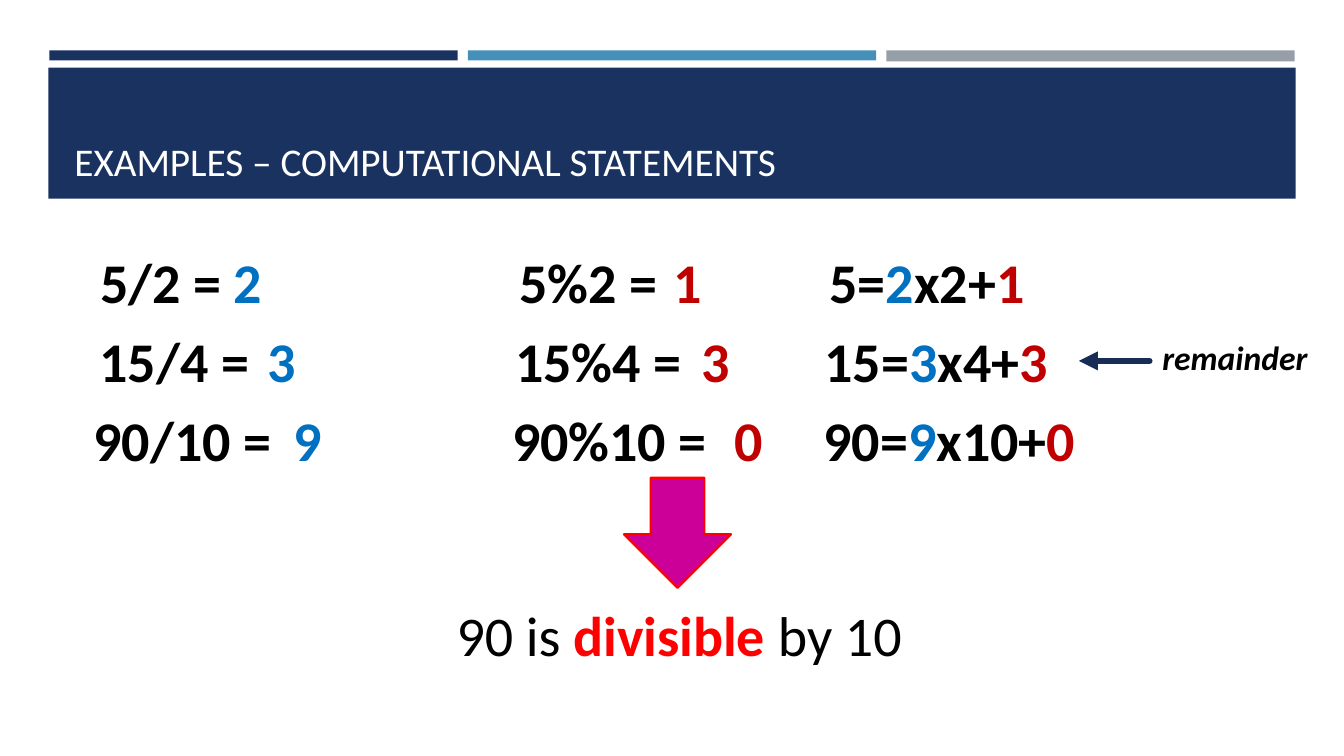
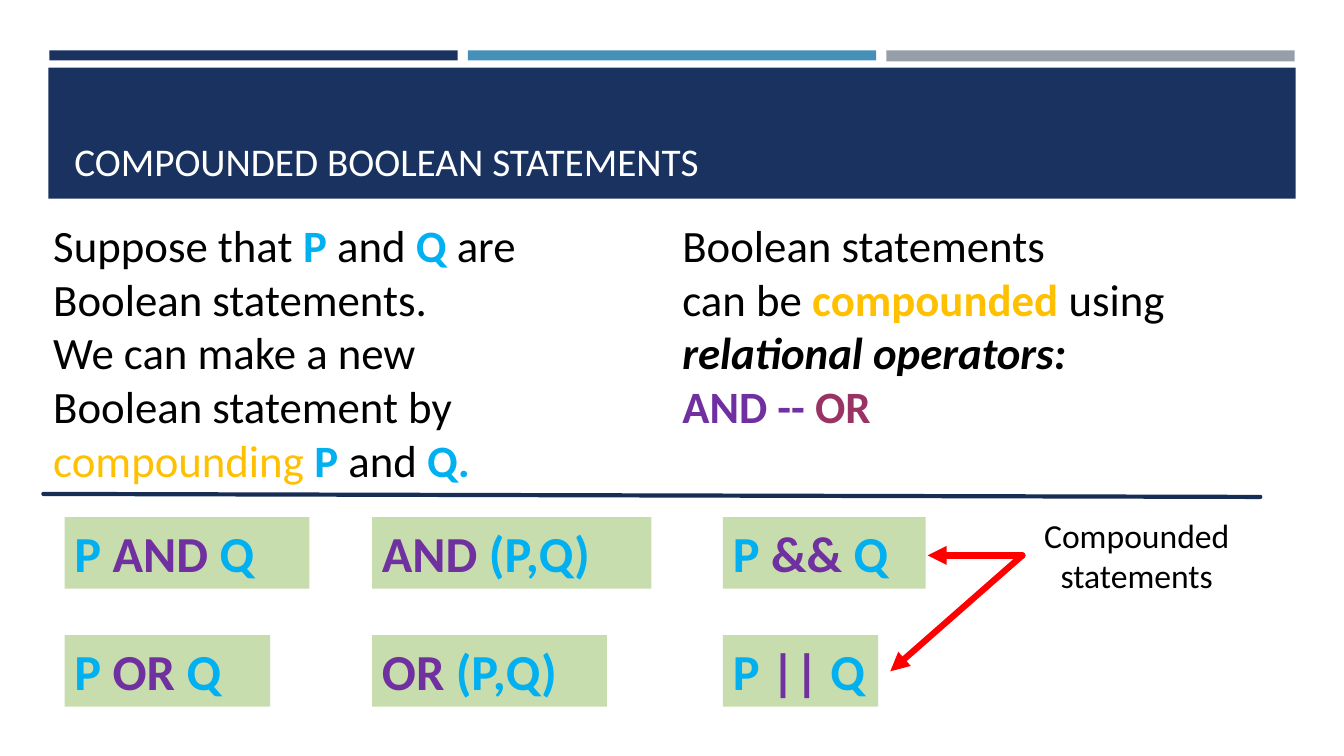
from lxml import etree
from pptx import Presentation
from pptx import util as u
from pptx.dml.color import RGBColor
from pptx.enum import shapes, text
from pptx.oxml.ns import qn

PX = 9144
rgb = RGBColor.from_string
NAVY, SKY, GRAY, INK = "1A3260", "4590B8", "969FA7", "172D56"
BLACK, WHITE, RED, GREEN = "000000", "FFFFFF", "FF0000", "C7DDAD"
QUOTIENT, REMAINDER = "0070C0", "C00000"
OPERAND, OPERATOR, ACCENT, PLUM = "00B0F0", "7030A0", "FFC000", "993366"


def write(slide, place, size, lines, fill=None, align=text.PP_ALIGN.LEFT,
          anchor=text.MSO_ANCHOR.TOP):
    box = slide.shapes.add_textbox(*[v * PX for v in place])
    if fill:
        box.fill.solid()
        box.fill.fore_color.rgb = rgb(fill)
    frame = box.text_frame
    layout = {"word_wrap": True, "margin_left": 10 * PX, "margin_right": 0,
              "margin_top": 5 * PX, "margin_bottom": 5 * PX,
              "vertical_anchor": anchor}
    for name, value in layout.items():
        setattr(frame, name, value)
    for number, line in enumerate(lines):
        paragraph = frame.add_paragraph() if number else frame.paragraphs[0]
        paragraph.alignment = align
        for words, color, style in line:
            run = paragraph.add_run()
            run.text = words
            look = {"name": "Calibri", "size": u.Pt(size),
                    "bold": "b" in style, "italic": "i" in style}
            for name, value in look.items():
                setattr(run.font, name, value)
            run.font.color.rgb = rgb(color)


def draw_line(slide, ends, color, width, arrow=False):
    line = slide.shapes.add_connector(shapes.MSO_CONNECTOR.STRAIGHT,
                                      *[v * PX for v in ends])
    line.line.color.rgb = rgb(color)
    line.line.width = u.Pt(width)
    properties = line.line._get_or_add_ln()
    properties.set("cap", "rnd")
    if arrow:
        etree.SubElement(properties, qn("a:tailEnd"), type="triangle")
    etree.SubElement(line._element.spPr, qn("a:effectLst"))


deck = Presentation()
deck.slide_width, deck.slide_height = 1333 * PX, 750 * PX

bands = [(49, 50, 405, 10, NAVY), (464, 50, 405, 10, SKY),
         (879, 50, 405, 11, GRAY), (48, 67, 1237, 130, NAVY)]
titles = ["EXAMPLES – COMPUTATIONAL STATEMENTS", "COMPOUNDED BOOLEAN STATEMENTS"]
for title in titles:
    slide = deck.slides.add_slide(deck.slide_layouts[6])
    for *place, color in bands:
        band = slide.shapes.add_shape(shapes.MSO_SHAPE.RECTANGLE,
                                      *[v * PX for v in place])
        band.shadow.inherit = False
        band.fill.solid()
        band.fill.fore_color.rgb = rgb(color)
        band.line.fill.background()
    write(slide, (64, 77, 1206, 111), 28, [[(title, WHITE, "")]],
          anchor=text.MSO_ANCHOR.BOTTOM)
examples, compounds = deck.slides

divisions = [
    (5, 2, (90, 222, 505, 658, 813)),
    (15, 4, (89, 256, 501, 686, 808)),
    (90, 10, (83, 281, 498, 719, 807)),
]
for row, (number, divisor, lefts) in enumerate(divisions):
    quotient, rest = (str(v) for v in divmod(number, divisor))
    cells = [
        (200, [(f"{number}/{divisor} =", BLACK, "b")]),
        (67, [(quotient, QUOTIENT, "b")]),
        (249, [(f"{number}%{divisor} =", BLACK, "b")]),
        (67, [(rest, REMAINDER, "b")]),
        (319, [(f"{number}=", BLACK, "b"), (quotient, QUOTIENT, "b"),
               (f"x{divisor}+", BLACK, "b"), (rest, REMAINDER, "b")]),
    ]
    for left, (width, line) in zip(lefts, cells):
        write(examples, (left, 241 + 78 * row, width, 77), 40, [line])

draw_line(examples, (1140, 358, 1070, 358), INK, 4.5, arrow=True)
write(examples, (1143, 329, 171, 50), 24, [[("remainder", BLACK, "bi")]])
conclusion = examples.shapes.add_shape(shapes.MSO_SHAPE.DOWN_ARROW,
                                       *[v * PX for v in (619, 474, 106, 109)])
conclusion.shadow.inherit = False
conclusion.fill.solid()
conclusion.fill.fore_color.rgb = rgb("CC0099")
conclusion.line.color.rgb = rgb(RED)
conclusion.line.width = u.Pt(1.75)
write(examples, (443, 591, 490, 77), 40,
      [[("90 is ", BLACK, ""), ("divisible", RED, "b"), (" by 10", BLACK, "")]])

write(compounds, (667, 211, 540, 226), 32, [
    [("Boolean statements", BLACK, "")],
    [("can be ", BLACK, ""), ("compounded", ACCENT, "b"), (" using", BLACK, "")],
    [("relational operators:", BLACK, "bi")],
    [("AND -- ", OPERATOR, "b"), ("OR", PLUM, "b")],
])
write(compounds, (43, 211, 506, 279), 32, [
    [("Suppose that ", BLACK, ""), ("P", OPERAND, "b"), (" and ", BLACK, ""),
     ("Q", OPERAND, "b"), (" are", BLACK, "")],
    [("Boolean statements.", BLACK, "")],
    [("We can make a new", BLACK, "")],
    [("Boolean statement by", BLACK, "")],
    [("compounding ", ACCENT, ""), ("P", OPERAND, "b"), (" and ", BLACK, ""),
     ("Q.", OPERAND, "b")],
])
draw_line(compounds, (43, 490, 1250, 493), INK, 3)

notations = [("AND", "&&", 513, (243, 277, 201)),
             ("OR", "||", 630, (204, 233, 154))]
for word, symbol, top, widths in notations:
    forms = [
        [("P ", OPERAND, "b"), (f"{word} ", OPERATOR, "b"), ("Q", OPERAND, "b")],
        [(f"{word} ", OPERATOR, "b"), ("(P,Q)", OPERAND, "b")],
        [("P ", OPERAND, "b"), (symbol, OPERATOR, "b"), (" Q", OPERAND, "b")],
    ]
    for left, width, form in zip((64, 369, 717), widths, forms):
        write(compounds, (left, top, width, 71), 36, [form], fill=GREEN)

write(compounds, (1014, 506, 217, 91), 24,
      [[("Compounded", BLACK, "")], [("statements", BLACK, "")]],
      align=text.PP_ALIGN.CENTER)
for tip in [(920, 551), (883, 666)]:
    draw_line(compounds, (1014, 551, *tip), RED, 4.5, arrow=True)

deck.save("out.pptx")
